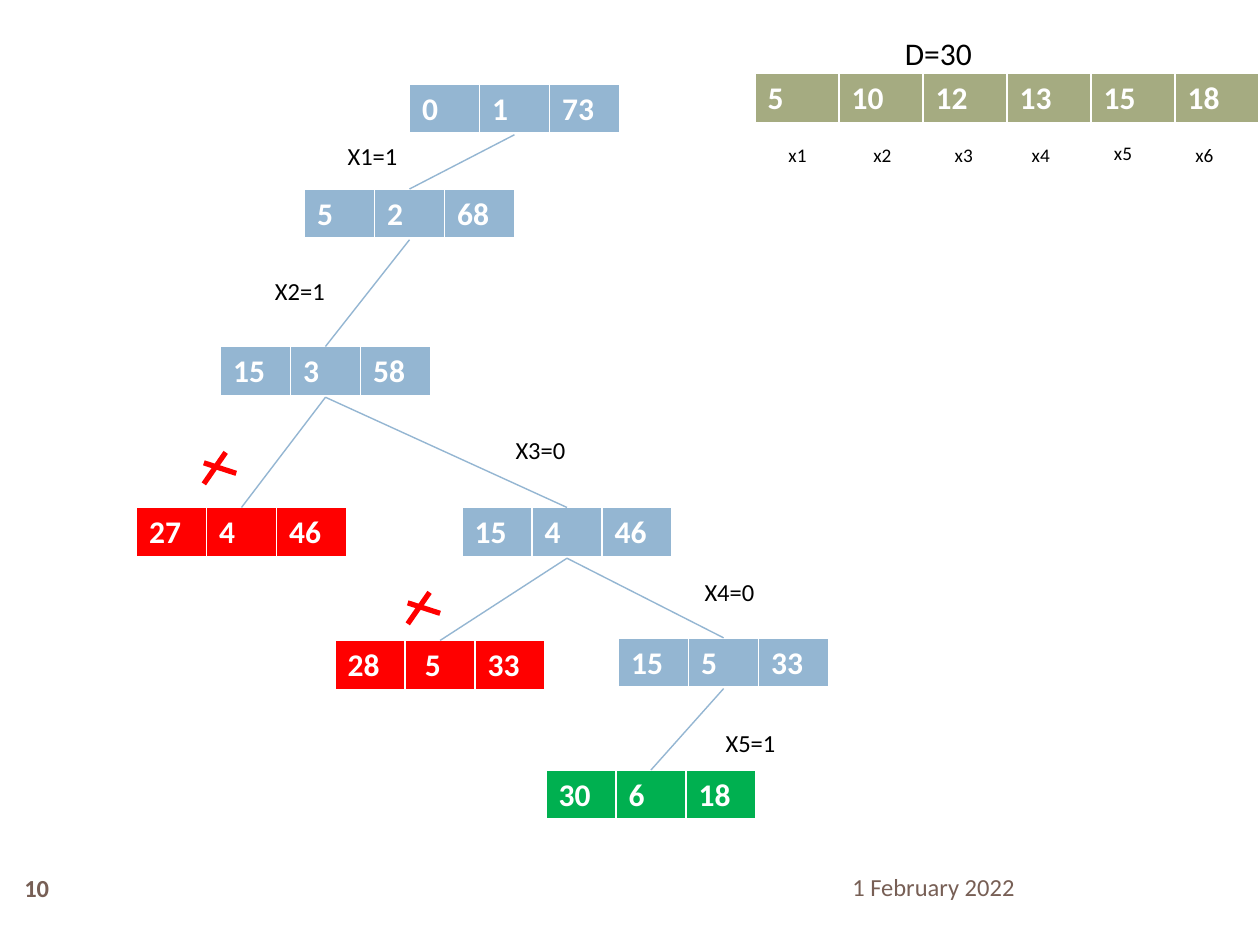
from lxml import etree
from pptx import Presentation
from pptx.dml.color import RGBColor
from pptx.enum.shapes import MSO_CONNECTOR
from pptx.enum.text import MSO_ANCHOR, PP_ALIGN
from pptx.oxml.ns import qn
from pptx.util import Pt

LINE = MSO_CONNECTOR.STRAIGHT
MIDDLE, TOP = MSO_ANCHOR.MIDDLE, MSO_ANCHOR.TOP
LEFT, CENTER = PP_ALIGN.LEFT, PP_ALIGN.CENTER

THEME = {
    "font": "Calibri",
    "open": "94B6D2", "dead": "FF0000", "goal": "00B050", "set": "A5AB81",
    "light": "FFFFFF", "dark": "000000", "foot": "775F55",
    "big": 18, "mid": 14, "small": 11,
    "edge": 0.79, "cross": 3,
}

# Search tree: name -> (left, top, state, values)
NODES = {
    "root": (234, 48, "open", ["0", "1", "73"]),
    "one": (174, 108, "open", ["5", "2", "68"]),
    "two": (126, 198, "open", ["15", "3", "58"]),
    "three in": (78, 290, "dead", ["27", "4", "46"]),
    "three out": (264, 290, "open", ["15", "4", "46"]),
    "four in": (191.5, 366, "dead", ["28", " 5", "33"]),
    "four out": (353.5, 364.5, "open", ["15", "5", "33"]),
    "five": (312, 440, "goal", ["30", "6", "18"]),
}
EDGES = [
    ("root", "one"), ("one", "two"), ("two", "three in"),
    ("two", "three out"), ("three out", "four in"),
    ("three out", "four out"), ("four out", "five"),
]
STEPS = [
    ("X1=1", 191.5, 77), ("X2=1", 150, 154), ("X3=0", 287.5, 245),
    ("X4=0", 395.5, 326), ("X5=1", 407.5, 412.5),
]
CROSSES = [(116.5, 258.5), (233, 338.5)]

ITEMS = ["5", "10", "12", "13", "15", "18"]
ITEM_LEFT, ITEM_TOP, ITEM_WIDTH = 431.5, 42, 48
TAGS = [
    ("x1", 443.5, 78.5), ("x2", 492, 78.5), ("x3", 538.5, 78.5),
    ("x4", 582.5, 78.5), ("x5", 629.5, 77), ("x6", 676, 78.5),
]

CELL_WIDTH, ROW_HEIGHT = 40, 29
BORDERS = [("a:lnL", 1), ("a:lnR", 1), ("a:lnT", 1), ("a:lnB", 3)]


def color(name):
    return RGBColor.from_string(THEME[name])


def style(par, size, tone, bold=False):
    font = par.font
    font.name, font.size, font.bold = THEME["font"], Pt(THEME[size]), bold
    font.color.rgb = color(tone)


def add_label(slide, text, box, size, tone="dark", bold=False,
              align=LEFT, anchor=TOP):
    frame = slide.shapes.add_textbox(*map(Pt, box)).text_frame
    frame.word_wrap, frame.vertical_anchor = True, anchor
    par = frame.paragraphs[0]
    par.text, par.alignment = text, align
    style(par, size, tone, bold)


def add_border(cell):
    props = cell._tc.get_or_add_tcPr()
    for tag, width in BORDERS:
        line = etree.SubElement(props, qn(tag), w=str(Pt(width)))
        fill = etree.SubElement(line, qn("a:solidFill"))
        etree.SubElement(fill, qn("a:srgbClr"), val=THEME["light"])


def add_row(slide, left, top, width, tone, values):
    """Add a one-row table whose cells share a width and a fill."""
    count = len(values)
    table = slide.shapes.add_table(
        1, count, Pt(left), Pt(top), Pt(width * count), Pt(ROW_HEIGHT)).table
    for col, value in enumerate(values):
        table.columns[col].width = Pt(width)
        cell = table.cell(0, col)
        cell.text = value
        style(cell.text_frame.paragraphs[0], "big", "light", True)
        add_border(cell)
        cell.fill.solid()
        cell.fill.fore_color.rgb = color(tone)


def add_line(shapes, start, end, tone, width):
    line = shapes.add_connector(LINE, *map(Pt, (*start, *end)))
    line.line.color.rgb = color(tone)
    line.line.width = Pt(THEME[width])
    etree.SubElement(line._element.spPr, qn("a:effectLst"))


def add_edge(slide, parent, child):
    """Join the bottom middle of one node to the top middle of another."""
    half = CELL_WIDTH * 1.5
    left, top = NODES[parent][:2]
    start = left + half, top + ROW_HEIGHT
    left, top = NODES[child][:2]
    add_line(slide.shapes, start, (left + half, top), "open", "edge")


def add_cross(slide, left, top):
    shapes = slide.shapes.add_group_shape().shapes
    for start, end in [((12.5, 0), (0, 18)), ((0, 6), (18.5, 12))]:
        add_line(shapes, (left + start[0], top + start[1]),
                 (left + end[0], top + end[1]), "dead", "cross")


def main():
    deck = Presentation()
    deck.slide_width, deck.slide_height = Pt(720), Pt(540)
    slide = deck.slides.add_slide(deck.slide_layouts[6])

    add_label(slide, "1 February 2022", (480, 492, 210, 29), "mid", "foot",
              anchor=MIDDLE)
    add_label(slide, "10", (0, 492, 42, 30), "mid", "foot", True,
              CENTER, MIDDLE)

    for left, top, state, values in NODES.values():
        add_row(slide, left, top, CELL_WIDTH, state, values)
    for parent, child in EDGES:
        add_edge(slide, parent, child)
    for left, top in CROSSES:
        add_cross(slide, left, top)
    for text, left, top in STEPS:
        add_label(slide, text, (left, top, 48.5, 24.5), "mid")

    add_row(slide, ITEM_LEFT, ITEM_TOP, ITEM_WIDTH, "set", ITEMS)
    add_label(slide, "D=30", (510, 16, 114, 29), "big")
    for text, left, top in TAGS:
        add_label(slide, text, (left, top, 36.5, 21), "small")

    deck.save("out.pptx")


if __name__ == "__main__":
    main()
